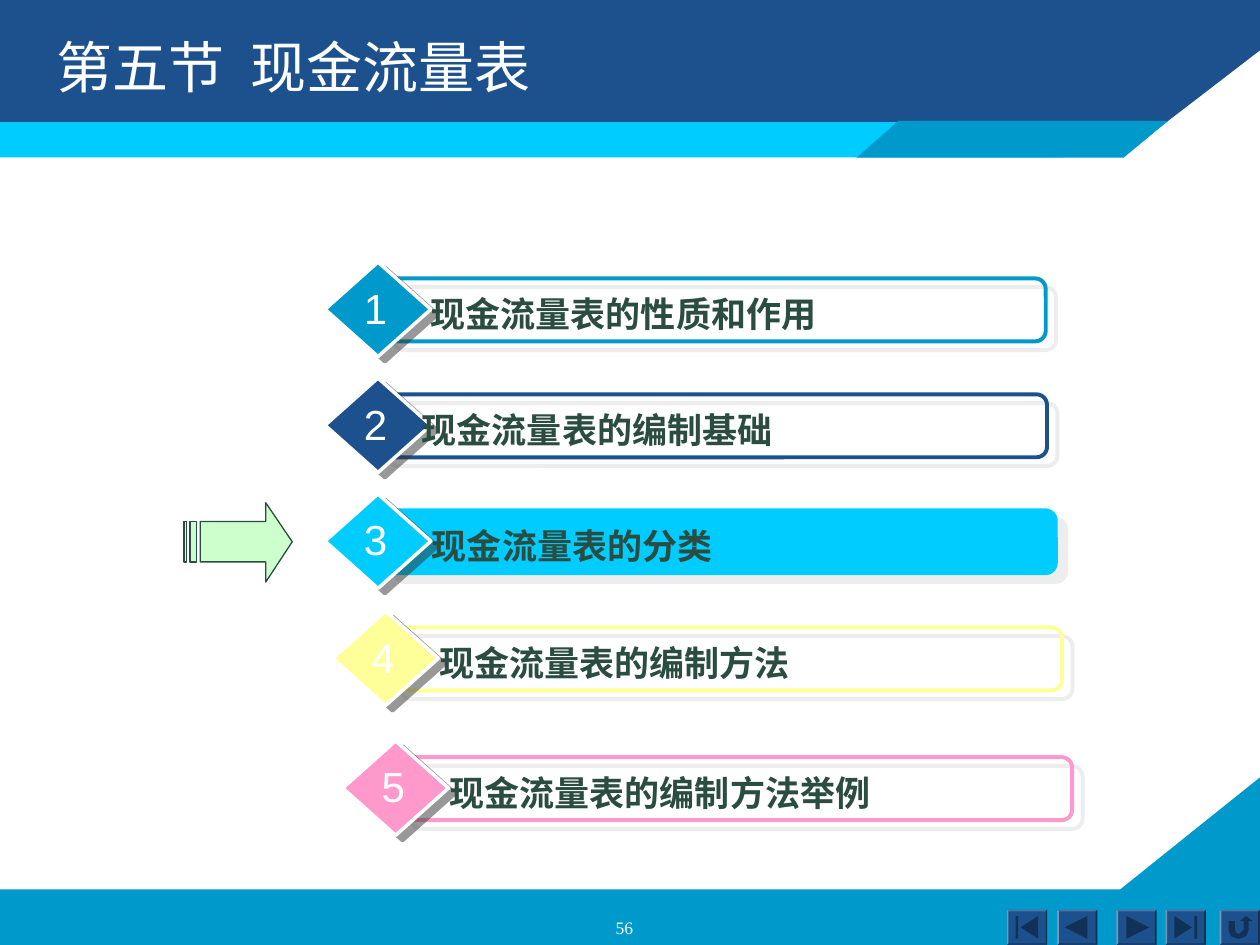
from lxml import etree
from pptx import Presentation
from pptx.dml.color import RGBColor
from pptx.enum.shapes import MSO_SHAPE as Kind
from pptx.enum.text import PP_ALIGN as Align
from pptx.oxml import parse_xml
from pptx.oxml.ns import qn
from pptx.util import Inches, Pt

NS = 'xmlns:a="http://schemas.openxmlformats.org/drawingml/2006/main"'
HAN = "Noto Sans CJK SC"
NAVY, BLUE, CYAN = "1D518D", "0099CB", "00CCFF"
WHITE, GREEN, DARK = "FFFFFF", "2A4C41", "113156"
ROWS = [
    ("现金流量表的性质和作用", BLUE, 2.58, 2.08, 3.04, 5.26, 3.32),
    ("现金流量表的编制基础", NAVY, 2.58, 3.0, 3.0, 5.31, 3.25),
    ("现金流量表的分类", CYAN, 2.58, 3.92, 3.05, 5.33, 3.33),
    ("现金流量表的编制方法", "FFFF99", 2.64, 4.85, 3.1, 5.33, 3.39),
    ("现金流量表的编制方法举例", "FF99CC", 2.72, 5.88, 3.18, 5.33, 3.47),
]
BACK = [(0.06, 0.14), (0.24, 0.05), (0.24, 0.23)]
FIRST = [(0.11, 0.14), (0.25, 0.05), (0.25, 0.23)]
STOP = [(0.07, 0.05), (0.09, 0.05), (0.09, 0.23), (0.07, 0.23)]
TURN = [(0.07, 0.09), (0.12, 0.09), (0.12, 0.16), (0.14, 0.19), (0.16, 0.19),
        (0.19, 0.16), (0.19, 0.09), (0.16, 0.09), (0.21, 0.05), (0.26, 0.09),
        (0.23, 0.09), (0.23, 0.16), (0.21, 0.21), (0.16, 0.23),
        (0.14, 0.23), (0.09, 0.21), (0.07, 0.16)]


def flip(pts):
    """Mirror an icon outline within its button."""
    return [(0.32 - x, y) for x, y in pts]


def rgb(code):
    """Turn a hex string into a colour."""
    return RGBColor.from_string(code)


def paint(shape, fill=None, line=None, width=1):
    """Set the fill and line of a shape and drop its shadow."""
    shape.shadow.inherit = False
    if fill:
        shape.fill.solid()
        shape.fill.fore_color.rgb = rgb(fill)
    else:
        shape.fill.background()
    if line:
        shape.line.color.rgb = rgb(line)
        shape.line.width = Pt(width)
    else:
        shape.line.fill.background()


def block(slide, kind, box, adj=None, **look):
    """Add a painted preset shape."""
    shape = slide.shapes.add_shape(kind, *map(Inches, box))
    if adj is not None:
        shape.adjustments[0] = adj
    paint(shape, **look)
    return shape


def outline(slide, parts, **look):
    """Add a painted freeform made of closed outlines."""
    parts = [[(Inches(x), Inches(y)) for x, y in part] for part in parts]
    pen = slide.shapes.build_freeform(*parts[0][0])
    for n, part in enumerate(parts):
        if n:
            pen.move_to(*part[0])
        pen.add_line_segments(part[1:], close=True)
    paint(pen.convert_to_shape(), **look)


def shade(shape, color, dist, angle):
    """Give a shape a half clear hard shadow."""
    glow = shape._element.spPr.find(qn("a:effectLst"))
    glow.append(parse_xml(
        f'<a:outerShdw {NS} blurRad="0" dist="{Pt(dist)}" '
        f'dir="{angle * 60000}" algn="ctr" rotWithShape="0">'
        f'<a:srgbClr val="{color}"><a:alpha val="50000"/></a:srgbClr>'
        '</a:outerShdw>'))


def write(slide, text, box, size, color=WHITE, font="Arial", bold=False,
          align=Align.LEFT, wrap=True, tab=None):
    """Add a line of text in a box."""
    frame = slide.shapes.add_textbox(*map(Inches, box)).text_frame
    frame.word_wrap = wrap
    para = frame.paragraphs[0]
    para.alignment = align
    if tab:
        stops = etree.SubElement(para._p.get_or_add_pPr(), qn("a:tabLst"))
        etree.SubElement(stops, qn("a:tab"), pos=str(Inches(tab)), algn="l")
    run = para.add_run()
    run.text = text
    run.font.name = font
    etree.SubElement(run.font._element, qn("a:ea"), typeface=HAN)
    run.font.size = Pt(size)
    run.font.bold = bold
    run.font.color.rgb = rgb(color)


def frame(slide):
    """Draw the bands at the top and the bottom."""
    outline(slide, [[(0, 7.06), (8.89, 7.06), (10, 6.17), (10, 7.5),
                     (0, 7.5)]], fill=BLUE)
    outline(slide, [[(0, 0), (10, 0), (10, 0.4), (8.92, 1.23), (0, 1.24)]],
            fill=NAVY)
    block(slide, Kind.RECTANGLE, (0, 0.97, 8.44, 0.28), fill=CYAN)
    outline(slide, [[(6.8, 1.25), (8.92, 1.25), (9.27, 0.96), (7.13, 0.96)]],
            fill=BLUE)


def button(slide, left, icon):
    """Draw a raised button with its icon."""
    block(slide, Kind.BEVEL, (left, 7.22, 0.32, 0.28), 0.05, fill=NAVY)
    outline(slide, [[(left + x, 7.22 + y) for x, y in part] for part in icon],
            fill=DARK)


def entry(slide, num, label, color, left, top, bar, width, text):
    """Draw one numbered line of the agenda."""
    box = block(slide, Kind.ROUNDED_RECTANGLE, (bar, top + 0.13, width, 0.5),
                0.167, fill=CYAN if num == 3 else None, line=color, width=2.25)
    shade(box, "DDDDDD", 7.8, 40)
    gem = block(slide, Kind.DIAMOND, (left, top, 0.84, 0.75),
                fill=color, line=WHITE, width=2)
    shade(gem, "333333", 5, 37)
    write(slide, label, (text, top + 0.19, 4.2, 0.44), 20, color=GREEN,
          bold=True)
    write(slide, str(num), (left + 0.21, top + 0.11, 0.38, 0.5), 24,
          align=Align.CENTER, wrap=False)


def arrow(slide):
    """Draw the striped arrow that marks the current line."""
    head = [(1.59, 4.14), (2.11, 4.14), (2.11, 3.99), (2.32, 4.3),
            (2.11, 4.62), (2.11, 4.46), (1.59, 4.46)]
    bars = [[(a, 4.14), (b, 4.14), (b, 4.46), (a, 4.46)]
            for a, b in ((1.46, 1.48), (1.51, 1.56))]
    outline(slide, [head, *bars], fill="CCFFCC", line=GREEN, width=0.75)


def main():
    """Build the slide and save it."""
    deck = Presentation()
    deck.slide_width, deck.slide_height = Inches(10), Inches(7.5)
    slide = deck.slides.add_slide(deck.slide_layouts[6])
    frame(slide)
    icons = [[FIRST, STOP], [BACK], [flip(BACK)], [flip(FIRST), flip(STOP)],
             [TURN]]
    for left, icon in zip((7.99, 8.39, 8.86, 9.25, 9.68), icons):
        button(slide, left, icon)
    for num, row in enumerate(ROWS, 1):
        entry(slide, num, *row)
    write(slide, "第五节\t现金流量表", (0.35, 0.21, 9, 1.25), 32, font=HAN,
          tab=1.54)
    arrow(slide)
    write(slide, "56", (3.79, 7.23, 2.33, 0.18), 10, font="Times New Roman",
          align=Align.CENTER)
    deck.save("out.pptx")


if __name__ == "__main__":
    main()
